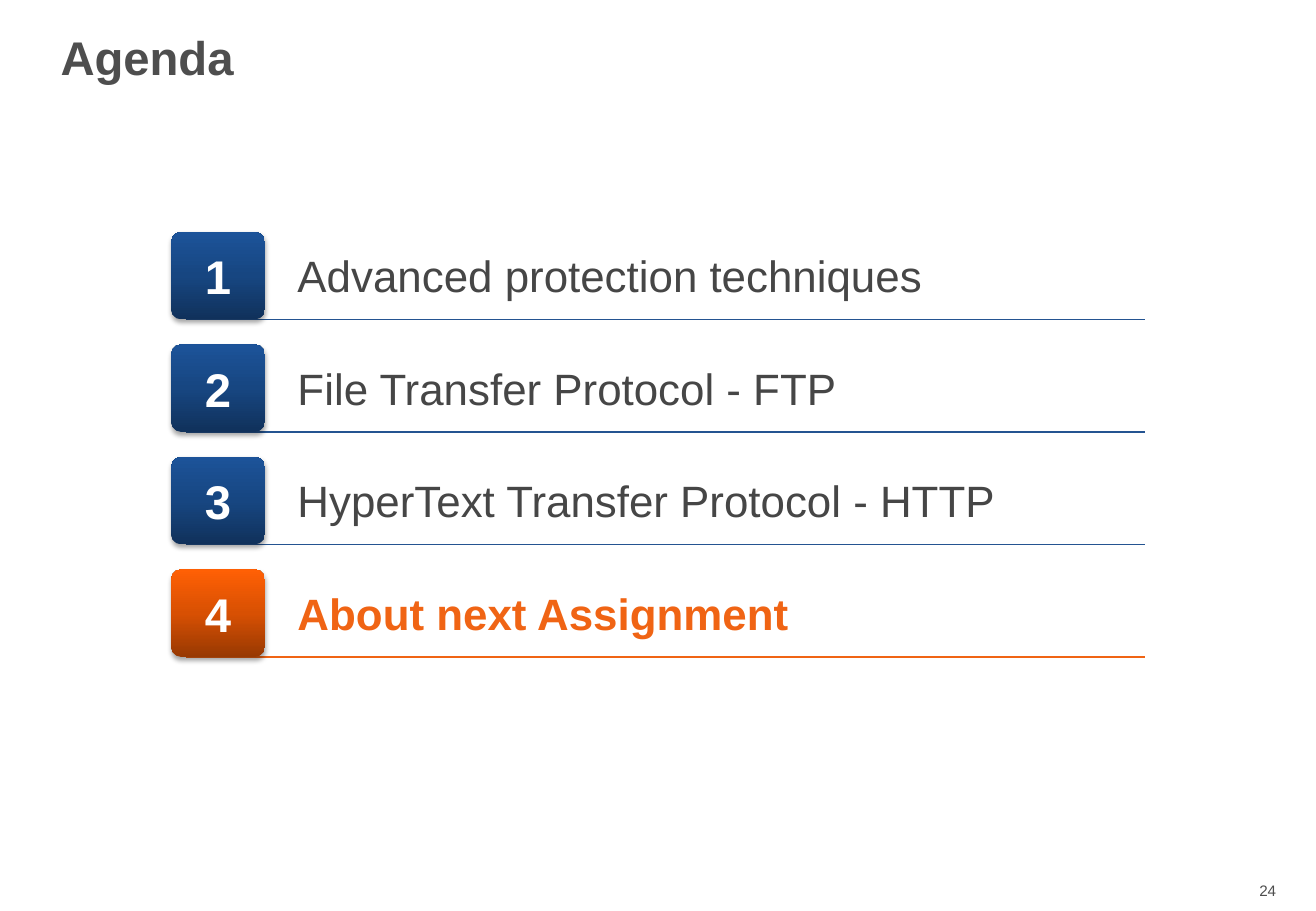
from lxml import etree
from pptx import Presentation
from pptx.dml.color import RGBColor
from pptx.enum.shapes import MSO_CONNECTOR, MSO_SHAPE
from pptx.enum.text import MSO_ANCHOR, PP_ALIGN
from pptx.oxml.ns import qn
from pptx.util import Inches, Pt

LEFT, CENTER, RIGHT = PP_ALIGN.LEFT, PP_ALIGN.CENTER, PP_ALIGN.RIGHT
TOP, MIDDLE = MSO_ANCHOR.TOP, MSO_ANCHOR.MIDDLE
ROUNDED, STRAIGHT = MSO_SHAPE.ROUNDED_RECTANGLE, MSO_CONNECTOR.STRAIGHT

TITLE = "Agenda"
PAGE = "24"
ITEMS = [
    "Advanced protection techniques",
    "File Transfer Protocol - FTP",
    "HyperText Transfer Protocol - HTTP",
    "About next Assignment",
]
CURRENT = 3
GREY, DARK, WHITE = "4E4E4E", "464646", "FFFFFF"
BLUE, ORANGE = "245491", "F06414"
BLUE_STOPS = ["10315B", "174681", "1C5399"]
ORANGE_STOPS = ["983902", "D85003", "FF6005"]

FIRST_TOP, PITCH = 1.91, 0.926
BADGE_LEFT, BADGE_W, BADGE_H = 1.41, 0.77, 0.72
RULE_LEFT, RULE_RIGHT = 1.53, 9.42


def rgb(color):
    return RGBColor.from_string(color)


def add(parent, tag, **attrs):
    return etree.SubElement(parent, qn(tag), {k: str(v) for k, v in attrs.items()})


def write(s, text, size=26, color=DARK, bold=False, align=LEFT, anchor=TOP,
          inset=0.1, line=None, before=None):
    tf = s.text_frame
    tf.word_wrap = True
    tf.vertical_anchor = anchor
    tf.margin_left = tf.margin_right = Inches(inset)
    p = tf.paragraphs[0]
    p.alignment = align
    if line:
        p.line_spacing = line
    if before:
        add(add(p._p.get_or_add_pPr(), "a:spcBef"), "a:spcPct", val=before * 1000)
    r = p.add_run()
    r.text = text
    r.font.name = "Arial"
    r.font.size = Pt(size)
    r.font.bold = bold
    r.font.color.rgb = rgb(color)


def textbox(sp, x, y, w, h, text, **fmt):
    write(sp.add_textbox(Inches(x), Inches(y), Inches(w), Inches(h)), text, **fmt)


def rule(sp, y, color):
    c = sp.add_connector(STRAIGHT, Inches(RULE_LEFT), Inches(y), Inches(RULE_RIGHT), Inches(y))
    c.line.color.rgb = rgb(color)
    c.line.width = Pt(1)
    add(c._element.spPr, "a:effectLst")


def badge(sp, y, number, stops):
    s = sp.add_shape(ROUNDED, Inches(BADGE_LEFT), Inches(y), Inches(BADGE_W), Inches(BADGE_H))
    s.adjustments[0] = 0.113
    s.fill.gradient()
    s.fill.gradient_angle = 90
    gs_list = s._element.spPr.find(".//" + qn("a:gsLst"))
    for gs in list(gs_list):
        gs_list.remove(gs)
    for i, color in enumerate(stops):
        add(add(gs_list, "a:gs", pos=i * 50000), "a:srgbClr", val=color)
    s.line.fill.background()
    s.shadow.inherit = False
    effects = s._element.spPr.find(qn("a:effectLst"))
    shadow = add(effects, "a:outerShdw", blurRad=Pt(3.1), dist=Pt(1.8),
                 dir=90 * 60000, rotWithShape=0)
    add(add(shadow, "a:srgbClr", val="000000"), "a:alpha", val=35000)
    write(s, number, size=28, color=WHITE, bold=True, align=CENTER, anchor=MIDDLE, inset=0.2)


def main():
    prs = Presentation()
    prs.slide_width, prs.slide_height = Inches(10.83), Inches(7.5)
    sp = prs.slides.add_slide(prs.slide_layouts[6]).shapes
    textbox(sp, 9.88, 7.21, 0.72, 0.25, PAGE, size=9, color=GREY, align=RIGHT)
    textbox(sp, 0.4, 0, 8.12, 1, TITLE, size=28, color=GREY, bold=True,
            anchor=MIDDLE, line=0.85)
    for i, item in enumerate(ITEMS):
        y = FIRST_TOP + i * PITCH
        active = i == CURRENT
        rule(sp, y + BADGE_H, ORANGE if active else BLUE)
        badge(sp, y, str(i + 1), ORANGE_STOPS if active else BLUE_STOPS)
        textbox(sp, 2.35, y + 0.09, 7.14, 0.54, item, bold=active,
                color=ORANGE if active else DARK, before=20)
    prs.save("out.pptx")


if __name__ == "__main__":
    main()
